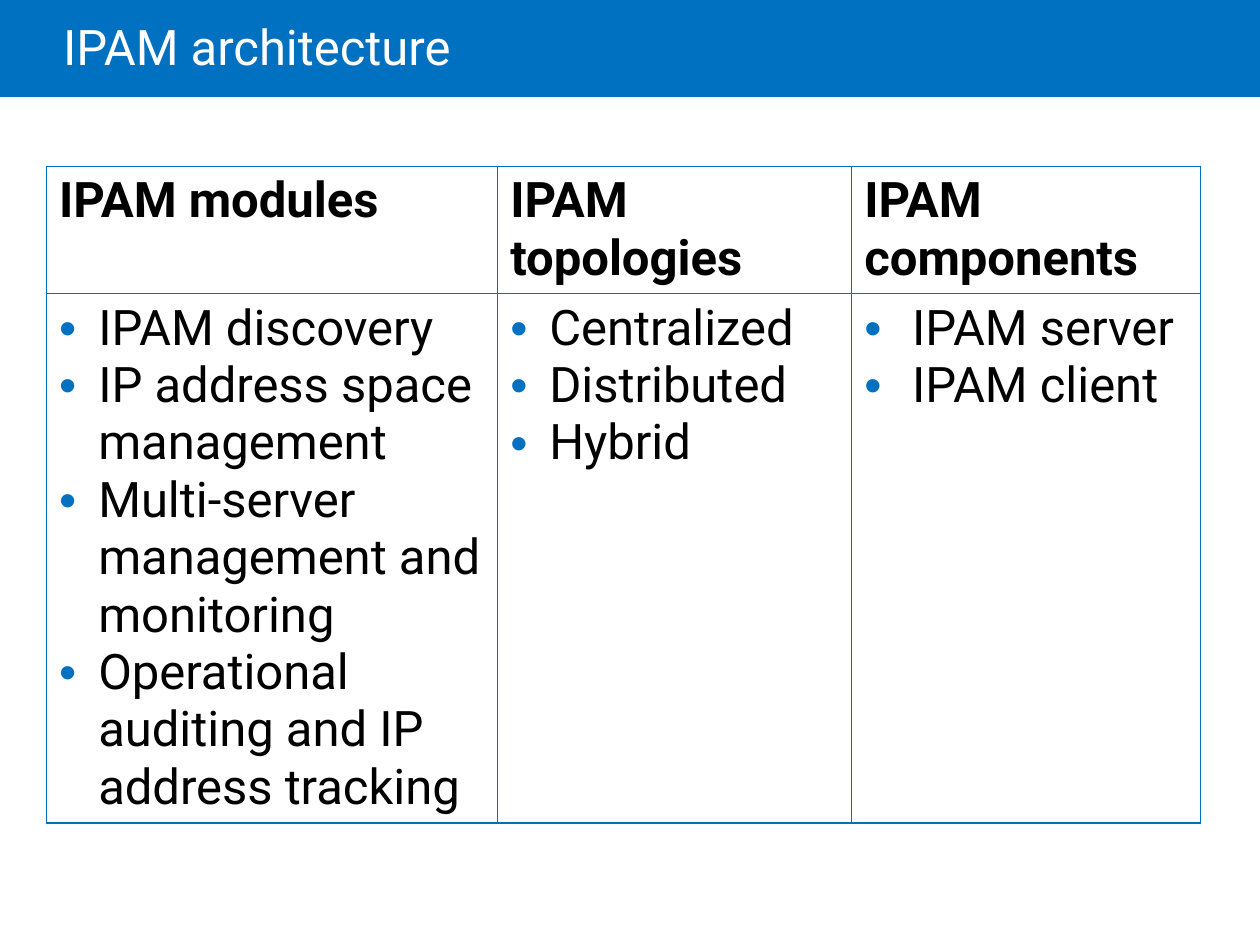
from pptx import Presentation
from pptx.dml.color import RGBColor
from pptx.enum import shapes, text
from pptx.oxml import parse_xml
from pptx.oxml import ns
from pptx.util import Inches, Pt

BLUE, WHITE, BLACK = "0070C0", "FFFFFF", "000000"
COLUMNS = [
    ("IPAM modules", 3.58, 0.31, [
        "IPAM discovery",
        "IP address space management",
        "Multi-server management and monitoring",
        "Operational auditing and IP address tracking"]),
    ("IPAM topologies", 2.81, 0.31, ["Centralized", "Distributed", "Hybrid"]),
    ("IPAM components", 2.77, 0.38, ["IPAM server", "IPAM client"]),
]
ROW_HEIGHTS = [1.01, 4.2]


def paint(color_format, color):
    color_format.rgb = RGBColor.from_string(color)


def add_span(para, words, color, bold=False):
    span = para.add_run()
    span.text = words
    span.font.name = "Roboto"
    span.font.size = Pt(28)
    span.font.bold = bold
    paint(span.font.color, color)


def add_bullet(para, indent):
    props = para._p.get_or_add_pPr()
    props.set("marL", str(Inches(indent)))
    props.set("indent", str(-Inches(indent)))
    declared = ns.nsdecls("a")
    for xml in (
        f'<a:buClr {declared}><a:srgbClr val="{BLUE}"/></a:buClr>',
        f'<a:buFont {declared} typeface="Arial"/>',
        f'<a:buChar {declared} char="&#8226;"/>',
    ):
        props.append(parse_xml(xml))


def format_cell(cell):
    props = cell._tc.get_or_add_tcPr()
    for side in ("lnL", "lnR", "lnT", "lnB"):
        props.append(parse_xml(
            f'<a:{side} {ns.nsdecls("a")} w="12700"><a:solidFill>'
            f'<a:srgbClr val="{BLUE}"/></a:solidFill></a:{side}>'))
    cell.fill.background()


def build_header(page, left, top, width, height):
    band = page.shapes.add_shape(
        shapes.MSO_SHAPE.RECTANGLE,
        Inches(left), Inches(top), Inches(width), Inches(height))
    band.shadow.inherit = False
    band.fill.solid()
    paint(band.fill.fore_color, BLUE)
    band.line.fill.background()
    band.element.getparent().insert(2, band.element)

    title = page.shapes.title
    title.left, title.top = Inches(left + 0.5), Inches(top)
    title.width, title.height = Inches(width - 1.5), Inches(height + 0.04)
    frame = title.text_frame
    frame.word_wrap = True
    frame.auto_size = text.MSO_AUTO_SIZE.NONE
    frame.vertical_anchor = text.MSO_ANCHOR.MIDDLE
    frame.margin_left, frame.margin_right = 0, Inches(0.1)
    frame.margin_top = frame.margin_bottom = Inches(0.05)
    para = frame.paragraphs[0]
    para.alignment = text.PP_ALIGN.LEFT
    para.line_spacing = 0.85
    add_span(para, "IPAM architecture", WHITE)


def build_table(page, left, top, width, height):
    table = page.shapes.add_table(
        len(ROW_HEIGHTS), len(COLUMNS),
        Inches(left), Inches(top), Inches(width), Inches(height)).table
    table.horz_banding = False
    for row, row_height in zip(table.rows, ROW_HEIGHTS):
        row.height = Inches(row_height)
    for index, (heading, column_width, indent, items) in enumerate(COLUMNS):
        table.columns[index].width = Inches(column_width)
        head, body = table.cell(0, index), table.cell(1, index)
        format_cell(head)
        format_cell(body)
        add_span(head.text_frame.paragraphs[0], heading, BLACK, True)
        frame = body.text_frame
        for number, item in enumerate(items):
            para = frame.add_paragraph() if number else frame.paragraphs[0]
            add_bullet(para, indent)
            add_span(para, item, BLACK)


deck = Presentation()
deck.slide_width, deck.slide_height = Inches(10), Inches(7.5)
page = deck.slides.add_slide(deck.slide_layouts[5])
build_header(page, 0, 0, 10, 0.77)
build_table(page, 0.37, 1.32, 9.16, sum(ROW_HEIGHTS))
deck.save("out.pptx")
